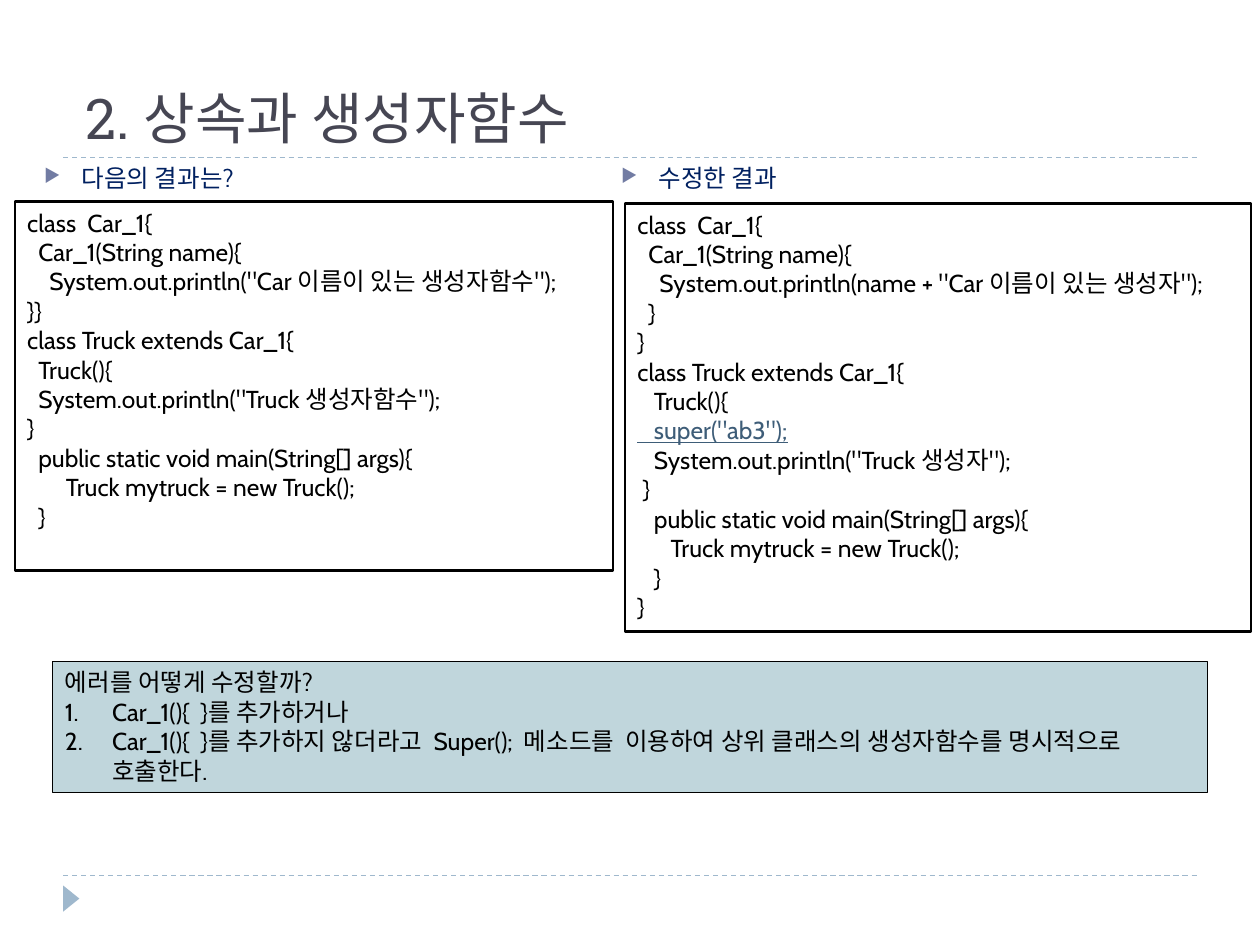
from lxml import etree
from pptx import Presentation
from pptx.dml.color import RGBColor
from pptx.enum.dml import MSO_LINE
from pptx.enum.shapes import MSO_CONNECTOR, MSO_SHAPE
from pptx.enum.text import MSO_ANCHOR, PP_ALIGN
from pptx.oxml.ns import qn
from pptx.util import Cm, Pt

STRAIGHT = MSO_CONNECTOR.STRAIGHT
RECTANGLE = MSO_SHAPE.RECTANGLE
TRIANGLE = MSO_SHAPE.ISOSCELES_TRIANGLE
DASH = MSO_LINE.DASH
TOP, BOTTOM = MSO_ANCHOR.TOP, MSO_ANCHOR.BOTTOM
LEFT = PP_ALIGN.LEFT

TITLE_ONLY = 5
TITLE_FONT, BODY_FONT = "Roboto Slab", "Cabin"
BODY_SIZE = 14
BLACK, WHITE = "000000", "FFFFFF"
TITLE_COLOR, HEADING_COLOR = "464653", "002060"
ACCENT, BULLET_COLOR = "9FB8CD", "727CA3"
ANSWER_FILL, HIGHLIGHT = "C0D6DC", "3E5D78"

BROKEN_CODE = """class  Car_1{
  Car_1(String name){
    System.out.println("Car 이름이 있는 생성자함수");
}}
class Truck extends Car_1{
  Truck(){
  System.out.println("Truck 생성자함수");
}
  public static void main(String[] args){
       Truck mytruck = new Truck();
  }"""

FIXED_CODE = """class  Car_1{
  Car_1(String name){
    System.out.println(name + "Car 이름이 있는 생성자");
  }
}
class Truck extends Car_1{
   Truck(){
   super("ab3");
   System.out.println("Truck 생성자");
 }
   public static void main(String[] args){
      Truck mytruck = new Truck();
   }
}"""

ANSWER = """에러를 어떻게 수정할까?
Car_1(){  }를 추가하거나
Car_1(){  }를 추가하지 않더라고  Super();  메소드를  이용하여 상위 클래스의 생성자함수를 명시적으로 호출한다."""


def color(value):
    """Return the RGB colour for a hex string."""
    return RGBColor.from_string(value)


def format_text(text_frame, font_name, size, text_color):
    """Left-align all paragraphs and format their runs."""
    text_frame.word_wrap = True
    for paragraph in text_frame.paragraphs:
        paragraph.alignment = LEFT
        for run in paragraph.runs:
            run.font.name = font_name
            run.font.size = Pt(size)
            run.font.color.rgb = color(text_color)


def set_hanging_indent(paragraph, indent):
    """Give a paragraph a hanging indent and return its properties."""
    properties = paragraph._p.get_or_add_pPr()
    properties.set("marL", str(indent))
    properties.set("indent", str(-indent))
    return properties


def add_arrow_bullet(paragraph):
    """Mark a paragraph with a small coloured triangle."""
    properties = set_hanging_indent(paragraph, Cm(0.76))
    bullet_color = etree.SubElement(properties, qn("a:buClr"))
    etree.SubElement(bullet_color, qn("a:srgbClr"), val=BULLET_COLOR)
    etree.SubElement(properties, qn("a:buSzPct"), val="76000")
    etree.SubElement(properties, qn("a:buChar"), char="▶")


def add_number(paragraph):
    """Number a paragraph automatically."""
    properties = set_hanging_indent(paragraph, Cm(0.95))
    etree.SubElement(properties, qn("a:buAutoNum"), type="arabicPeriod")


def add_dashed_rule(slide, left, top, width):
    """Draw a horizontal dashed rule."""
    rule = slide.shapes.add_connector(STRAIGHT, left, top, left + width, top)
    rule.line.color.rgb = color(ACCENT)
    rule.line.width = Pt(0.75)
    rule.line.dash_style = DASH
    etree.SubElement(rule._element.spPr, qn("a:effectLst"))


def add_frame(slide, left, top, width, height):
    """Draw the two rules and the corner marker."""
    add_dashed_rule(slide, left, top, width)
    add_dashed_rule(slide, left, top + height, width)
    marker = slide.shapes.add_shape(
        TRIANGLE, left - Cm(0.1), top + height + Cm(0.3), Cm(0.53), Cm(0.33))
    marker.rotation = 90
    marker.shadow.inherit = False
    marker.fill.solid()
    marker.fill.fore_color.rgb = color(ACCENT)
    marker.line.fill.background()


def place_title(slide, left, top, width, height):
    """Place and format the slide title."""
    title = slide.shapes.title
    title.left, title.top, title.width, title.height = left, top, width, height
    title.text_frame.text = "2. 상속과 생성자함수"
    title.text_frame.vertical_anchor = BOTTOM
    format_text(title.text_frame, TITLE_FONT, 32, TITLE_COLOR)


def add_heading(slide, text, left, top, width, height):
    """Add a bulleted column heading."""
    heading = slide.shapes.add_textbox(left, top, width, height)
    heading.text_frame.text = text
    format_text(heading.text_frame, BODY_FONT, BODY_SIZE, HEADING_COLOR)
    paragraph = heading.text_frame.paragraphs[0]
    paragraph.space_before = Pt(6)
    add_arrow_bullet(paragraph)


def add_panel(slide, text, fill, line_width, left, top, width, height):
    """Add an outlined text panel and return its paragraphs."""
    panel = slide.shapes.add_shape(RECTANGLE, left, top, width, height)
    panel.shadow.inherit = False
    panel.fill.solid()
    panel.fill.fore_color.rgb = color(fill)
    panel.line.color.rgb = color(BLACK)
    panel.line.width = Pt(line_width)
    panel.text_frame.text = text
    panel.text_frame.vertical_anchor = TOP
    format_text(panel.text_frame, BODY_FONT, BODY_SIZE, BLACK)
    return panel.text_frame.paragraphs


def add_code(slide, code, left, top, width, height):
    """Add a code listing with its super call highlighted."""
    for paragraph in add_panel(slide, code, WHITE, 1.5, left, top, width, height):
        if "super(" in paragraph.text:
            font = paragraph.runs[0].font
            font.color.rgb = color(HIGHLIGHT)
            font.underline = True


def add_answer(slide, left, top, width, height):
    """Add the question with its numbered answers."""
    paragraphs = add_panel(
        slide, ANSWER, ANSWER_FILL, 0.75, left, top, width, height)
    for paragraph in paragraphs[1:]:
        add_number(paragraph)


def main():
    """Build and save the presentation."""
    presentation = Presentation()
    presentation.slide_width, presentation.slide_height = Cm(25.4), Cm(19.05)
    slide = presentation.slides.add_slide(presentation.slide_layouts[TITLE_ONLY])
    add_frame(slide, Cm(1.27), Cm(3.17), Cm(22.86), Cm(14.48))
    place_title(slide, Cm(1.47), Cm(0.43), Cm(22.86), Cm(2.74))
    add_heading(slide, "다음의 결과는?", Cm(0.64), Cm(3.17), Cm(11.43), Cm(1.7))
    add_heading(slide, "수정한 결과", Cm(12.27), Cm(3.17), Cm(11.43), Cm(1.7))
    add_code(slide, BROKEN_CODE, Cm(0.3), Cm(4.06), Cm(12.06), Cm(7.44))
    add_answer(slide, Cm(1.06), Cm(13.33), Cm(23.28), Cm(2.65))
    add_code(slide, FIXED_CODE, Cm(12.6), Cm(4.1), Cm(12.62), Cm(8.63))
    presentation.save("out.pptx")


if __name__ == "__main__":
    main()
